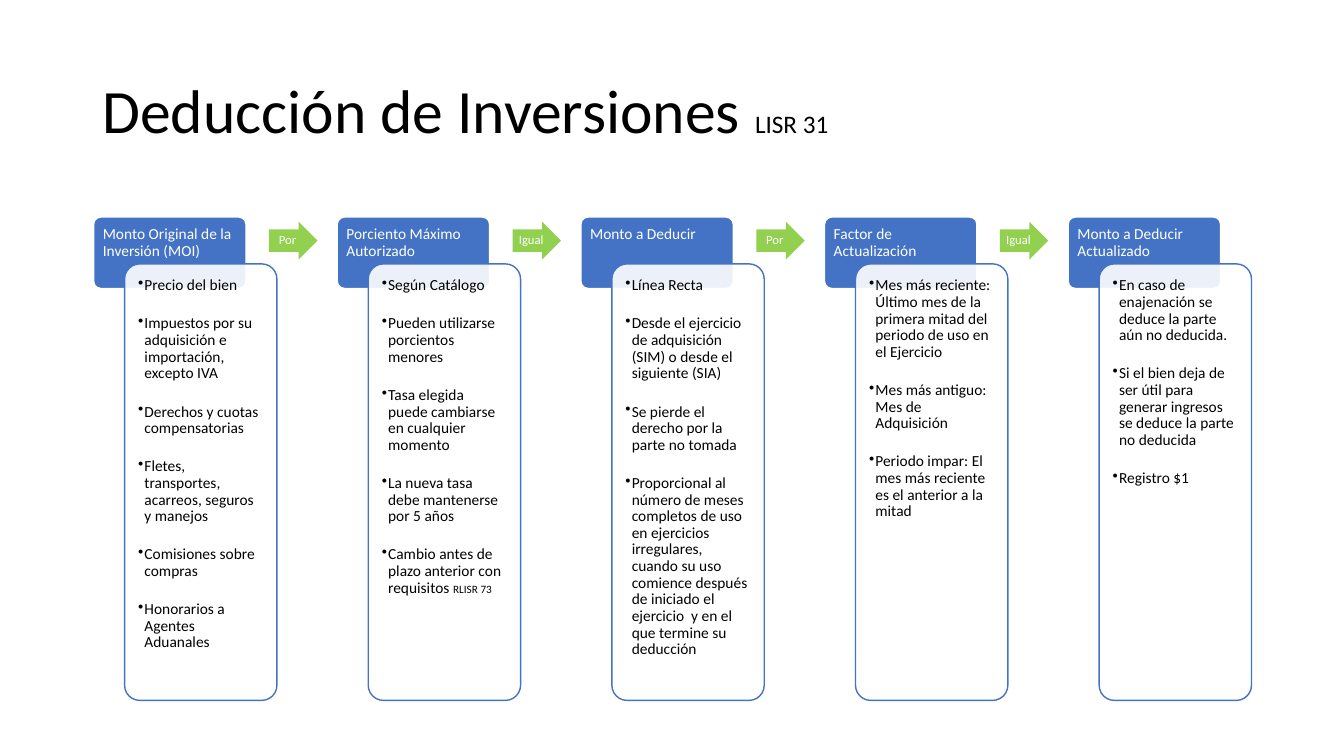
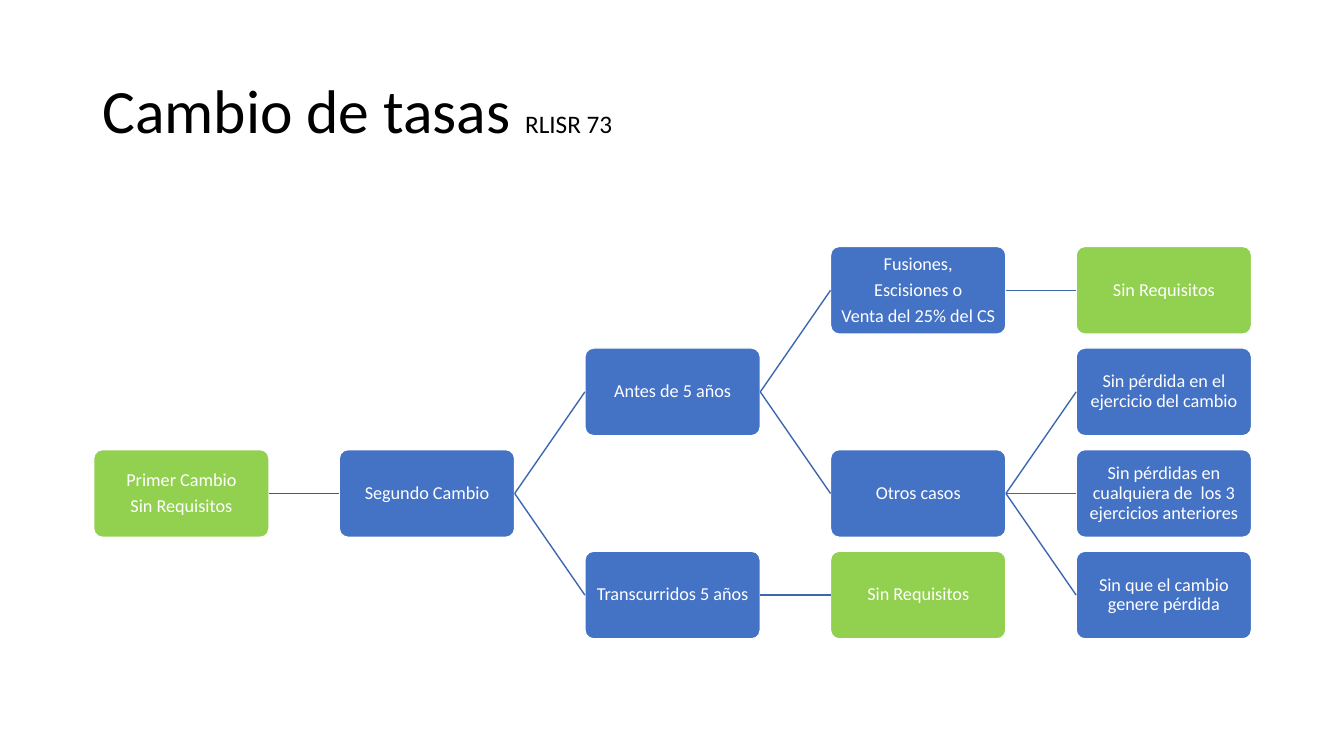
"""Build two slides on the deduction of investments and the change of rates."""
from dataclasses import dataclass

import lxml.etree
import pptx
import pptx.dml.color
import pptx.enum.shapes
import pptx.enum.text
import pptx.oxml.ns
import pptx.shapes.autoshape
import pptx.slide
import pptx.text.text
import pptx.util

Cm = pptx.util.Cm
Pt = pptx.util.Pt
Kind = pptx.enum.shapes.MSO_SHAPE
Align = pptx.enum.text.PP_ALIGN
Anchor = pptx.enum.text.MSO_ANCHOR
Shape = pptx.shapes.autoshape.Shape
Slide = pptx.slide.Slide

FONT = "Calibri"
HUES = {
    "blue": "4472C4",
    "green": "92D050",
    "white": "FFFFFF",
    "black": "000000",
    "root": "365B9D",
    "branch": "3E67B2",
}
LEFT = 2.36


@dataclass(frozen=True)
class Step:
    head: str
    points: tuple[str, ...]
    link: str = ""
    note: str = ""


@dataclass(frozen=True)
class Node:
    col: int
    row: int
    lines: tuple[str, ...]
    source: int | None = None
    hue: str = "blue"


STEPS = (
    Step("Monto Original de la Inversión (MOI)", (
        "Precio del bien",
        "Impuestos por su adquisición e importación, excepto IVA",
        "Derechos y cuotas compensatorias",
        "Fletes, transportes, acarreos, seguros y manejos",
        "Comisiones sobre compras",
        "Honorarios a Agentes Aduanales",
    ), "Por"),
    Step("Porciento Máximo Autorizado", (
        "Según Catálogo",
        "Pueden utilizarse porcientos menores",
        "Tasa elegida puede cambiarse en cualquier momento",
        "La nueva tasa debe mantenerse por 5 años",
        "Cambio antes de plazo anterior con requisitos ",
    ), "Igual", "RLISR 73"),
    Step("Monto a Deducir", (
        "Línea Recta",
        "Desde el ejercicio de adquisición (SIM) o desde el siguiente (SIA)",
        "Se pierde el derecho por la parte no tomada",
        "Proporcional al número de meses completos de uso en ejercicios "
        "irregulares, cuando su uso comience después de iniciado el "
        "ejercicio  y en el que termine su deducción",
    ), "Por"),
    Step("Factor de Actualización", (
        "Mes más reciente: Último mes de la primera mitad del periodo de uso "
        "en el Ejercicio",
        "Mes más antiguo: Mes de Adquisición",
        "Periodo impar: El mes más reciente es el anterior a la mitad",
    ), "Igual"),
    Step("Monto a Deducir Actualizado", (
        "En caso de enajenación se deduce la parte aún no deducida.",
        "Si el bien deja de ser útil para generar ingresos se deduce la parte "
        "no deducida",
        "Registro $1",
    )),
)

NODES = (
    Node(0, 2, ("Primer Cambio", "Sin Requisitos"), hue="green"),
    Node(1, 2, ("Segundo Cambio",), 0),
    Node(2, 1, ("Antes de 5 años",), 1),
    Node(3, 0, ("Fusiones,", "Escisiones o", "Venta del 25% del CS"), 2),
    Node(4, 0, ("Sin Requisitos",), 3, "green"),
    Node(3, 2, ("Otros casos",), 2),
    Node(4, 1, ("Sin pérdida en el ejercicio del cambio",), 5),
    Node(4, 2, ("Sin pérdidas en cualquiera de  los 3 ejercicios anteriores",), 5),
    Node(4, 3, ("Sin que el cambio genere pérdida",), 5),
    Node(2, 3, ("Transcurridos 5 años",), 1),
    Node(3, 3, ("Sin Requisitos",), 9, "green"),
)


def tint(hue: str) -> pptx.dml.color.RGBColor:
    return pptx.dml.color.RGBColor.from_string(HUES[hue])


def write(frame: pptx.text.text.TextFrame, *lines: str, size: float,
          hue: str = "white", align: Align = Align.LEFT,
          anchor: Anchor = Anchor.TOP, inset: tuple[float, float] = (0, 0),
          after: float = 0, bullet: bool = False,
          note: str = "", small: float = 8) -> None:
    frame.word_wrap = True
    frame.vertical_anchor = anchor
    frame.margin_left = frame.margin_right = Cm(inset[0])
    frame.margin_top = frame.margin_bottom = Cm(inset[1])
    for num, line in enumerate(lines):
        para = frame.add_paragraph() if num else frame.paragraphs[0]
        para.alignment = align
        para.line_spacing = 0.9
        para.space_before = Pt(0)
        para.space_after = Pt(after)
        if bullet:
            props = para._p.get_or_add_pPr()
            props.set("marL", str(Cm(0.16)))
            props.set("indent", str(-Cm(0.16)))
            mark = lxml.etree.SubElement(props, pptx.oxml.ns.qn("a:buChar"))
            mark.set("char", "•")
        parts = [(line, size)]
        if note and num == len(lines) - 1:
            parts.append((note, small))
        for words, points in parts:
            run = para.add_run()
            run.text = words
            run.font.name = FONT
            run.font.size = Pt(points)
            run.font.color.rgb = tint(hue)


def draw(slide: Slide, kind: Kind, x: float, y: float, wide: float, high: float,
         fill: str, line: str = "", bends: tuple[float, ...] = (0.1,),
         alpha: int = 100) -> Shape:
    shape = slide.shapes.add_shape(kind, Cm(x), Cm(y), Cm(wide), Cm(high))
    shape.shadow.inherit = False
    for num, bend in enumerate(bends):
        shape.adjustments[num] = bend
    shape.fill.solid()
    shape.fill.fore_color.rgb = tint(fill)
    if alpha < 100:
        color = shape._element.spPr.find(".//" + pptx.oxml.ns.qn("a:srgbClr"))
        veil = lxml.etree.SubElement(color, pptx.oxml.ns.qn("a:alpha"))
        veil.set("val", str(alpha * 1000))
    if line:
        shape.line.color.rgb = tint(line)
        shape.line.width = Pt(1)
    else:
        shape.line.fill.background()
    return shape


def join(slide: Slide, start: Shape, end: Shape, hue: str) -> None:
    line = slide.shapes.add_connector(
        pptx.enum.shapes.MSO_CONNECTOR.STRAIGHT, 0, 0, 0, 0)
    line.begin_connect(start, 3)
    line.end_connect(end, 1)
    line.line.color.rgb = tint(hue)
    line.line.width = Pt(1)
    lxml.etree.SubElement(line._element.spPr, pptx.oxml.ns.qn("a:effectLst"))


def begin(deck: pptx.presentation.Presentation, name: str, note: str) -> Slide:
    slide = deck.slides.add_slide(deck.slide_layouts[5])
    title = slide.shapes.title
    title.left, title.top = Cm(2.33), Cm(1.02)
    title.width, title.height = Cm(29.21), Cm(3.68)
    write(title.text_frame, name, size=44, hue="black", anchor=Anchor.MIDDLE,
          inset=(0.25, 0.13), note=note, small=18)
    return slide


def steps(slide: Slide) -> None:
    for col, step in enumerate(STEPS):
        x = LEFT + col * 6.14
        head = draw(slide, Kind.ROUNDED_RECTANGLE, x, 5.47, 3.84, 1.8,
                    "blue", "white")
        write(head.text_frame, step.head, size=11, inset=(0.18, 0.18))
        card = draw(slide, Kind.ROUNDED_RECTANGLE, x + 0.78, 6.65, 3.84, 11,
                    "white", "blue", alpha=90)
        write(card.text_frame, *step.points, size=11, hue="black",
              inset=(0.23, 0.23), after=15.4, bullet=True, note=step.note)
        if step.link:
            arrow = draw(slide, Kind.RIGHT_ARROW, x + 4.42, 5.59, 1.22, 0.95,
                         "green", bends=(0.6, 0.5))
            write(arrow.text_frame, step.link, size=9, align=Align.CENTER,
                  anchor=Anchor.MIDDLE)


def tree(slide: Slide) -> None:
    boxes: list[Shape] = []
    for node in NODES:
        box = draw(slide, Kind.ROUNDED_RECTANGLE, LEFT + node.col * 6.19,
                   6.21 + node.row * 2.56, 4.42, 2.21, node.hue, "white")
        write(box.text_frame, *node.lines, size=13, align=Align.CENTER,
              anchor=Anchor.MIDDLE, inset=(0.03, 0.03), after=4.5)
        boxes.append(box)
        if node.source is not None:
            hue = "branch" if node.source else "root"
            join(slide, boxes[node.source], box, hue)


def main() -> None:
    deck = pptx.Presentation()
    deck.slide_width, deck.slide_height = Cm(33.87), Cm(19.05)
    steps(begin(deck, "Deducción de Inversiones ", "LISR 31"))
    tree(begin(deck, "Cambio de tasas ", "RLISR 73"))
    deck.save("out.pptx")


if __name__ == "__main__":
    main()
